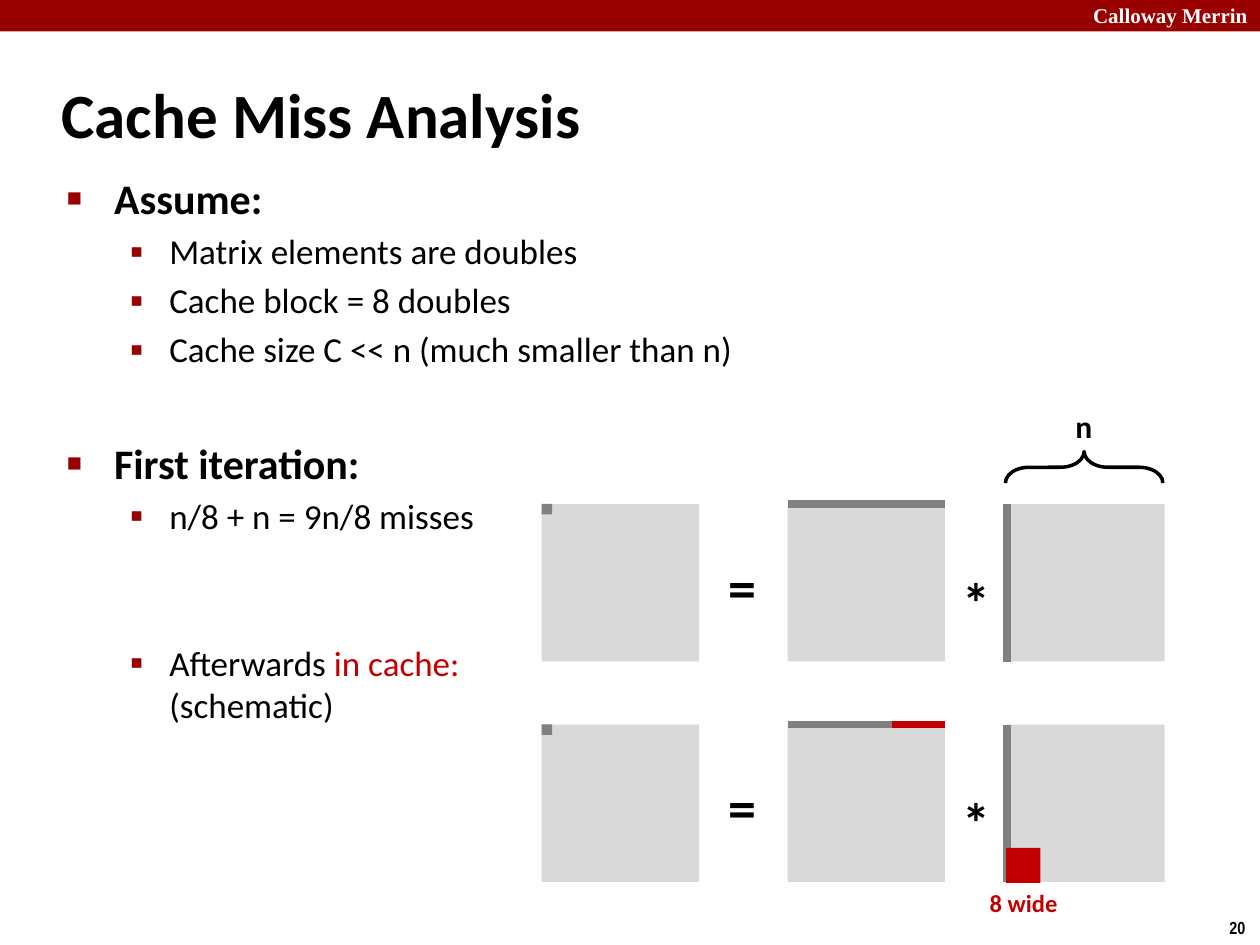
from dataclasses import dataclass

from lxml import etree
from pptx import Presentation
from pptx.dml.color import RGBColor
from pptx.enum.shapes import MSO_CONNECTOR, MSO_SHAPE
from pptx.enum.text import MSO_ANCHOR, MSO_AUTO_SIZE, PP_ALIGN
from pptx.oxml.ns import qn
from pptx.util import Pt

RECTANGLE = MSO_SHAPE.RECTANGLE
LEFT_BRACE = MSO_SHAPE.LEFT_BRACE
STRAIGHT = MSO_CONNECTOR.STRAIGHT
LEFT, RIGHT = PP_ALIGN.LEFT, PP_ALIGN.RIGHT
MIDDLE = MSO_ANCHOR.MIDDLE
NO_AUTOFIT = MSO_AUTO_SIZE.NONE


@dataclass(frozen=True)
class Theme:
    banner: str = "990000"
    text: str = "000000"
    inverse: str = "FFFFFF"
    matrix: str = "D9D9D9"
    accessed: str = "808080"
    cached: str = "C00000"
    font: str = "Calibri"
    banner_font: str = "Times New Roman"
    number_font: str = "Arial Narrow"
    title_size: int = 36
    operator_size: int = 32
    heading_size: int = 24
    item_size: int = 20
    brace_size: int = 18
    note_size: int = 14
    banner_size: int = 12
    number_size: int = 10


THEME = Theme()

# Matrix grid, in points
MATRIX_SIZE = 90
RESULT_X, ROW_MATRIX_X, COLUMN_MATRIX_X = 309.5, 450, 575.5
FIRST_Y, AFTERWARDS_Y = 288, 414

# Body text: level, space before, runs of (text, colour)
BODY = [
    (0, 4.4, [("Assume:", THEME.text)]),
    (1, 4, [("Matrix elements are doubles", THEME.text)]),
    (1, 4, [("Cache block = 8 doubles", THEME.text)]),
    (1, 4, [("Cache size C << n (much smaller than n)", THEME.text)]),
    (0, 38.4, [("First iteration:", THEME.text)]),
    (1, 4, [("n/8 + n = 9n/8 misses", THEME.text)]),
    (1, 60, [("Afterwards ", THEME.text), ("in cache:", THEME.cached),
             ("\n", None), ("(schematic)", THEME.text)]),
]
# Per level: bullet, its size in percent, left margin, hanging indent, size, bold
LEVELS = [
    ("■", 60, 27, 27, THEME.heading_size, True),
    ("▪", 110, 58.5, 22.5, THEME.item_size, False),
]


def place(shape, left, top, width, height):
    shape.left, shape.top = Pt(left), Pt(top)
    shape.width, shape.height = Pt(width), Pt(height)


def add_run(paragraph, text, size, color=THEME.text, bold=True, font=THEME.font):
    run = paragraph.add_run()
    run.text = text
    run.font.name, run.font.size, run.font.bold = font, Pt(size), bold
    run.font.color.rgb = RGBColor.from_string(color)


def add_label(slide, text, box, size, color=THEME.text, font=THEME.font, align=LEFT):
    shape = slide.shapes.add_textbox(*map(Pt, box))
    shape.text_frame.word_wrap = False
    paragraph = shape.text_frame.paragraphs[0]
    paragraph.alignment = align
    add_run(paragraph, text, size, color, font=font)


def add_block(slide, color, left, top, width, height):
    shape = slide.shapes.add_shape(RECTANGLE, Pt(left), Pt(top), Pt(width), Pt(height))
    shape.shadow.inherit = False
    shape.fill.solid()
    shape.fill.fore_color.rgb = RGBColor.from_string(color)
    shape.line.fill.background()


def add_bar(slide, color, start, end):
    line = slide.shapes.add_connector(STRAIGHT, *map(Pt, start + end))
    line.line.color.rgb = RGBColor.from_string(color)
    line.line.width = Pt(4.5)
    etree.SubElement(line._element.spPr, qn("a:effectLst"))


def add_brace(slide, left, top, width, height):
    """Brace that opens downward over the given area."""
    offset = (width - height) / 2
    shape = slide.shapes.add_shape(LEFT_BRACE, Pt(left + offset), Pt(top - offset),
                                   Pt(height), Pt(width))
    shape.rotation = 90
    shape.adjustments[0] = 0.75
    shape.shadow.inherit = False
    shape.fill.background()
    shape.line.color.rgb = RGBColor.from_string(THEME.text)
    shape.line.width = Pt(2)


def set_bullet(paragraph, character, percent, margin, hanging):
    properties = paragraph._p.get_or_add_pPr()
    properties.set("marL", str(Pt(margin)))
    properties.set("indent", str(-Pt(hanging)))
    color = etree.SubElement(properties, qn("a:buClr"))
    etree.SubElement(color, qn("a:srgbClr"), val=THEME.banner)
    etree.SubElement(properties, qn("a:buSzPct"), val=str(percent * 1000))
    etree.SubElement(properties, qn("a:buChar"), char=character)


def fill_title(slide, text):
    title = slide.shapes.title
    place(title, 28, 34.5, 598, 60)
    frame = title.text_frame
    frame.auto_size = NO_AUTOFIT
    frame.vertical_anchor = MIDDLE
    frame.paragraphs[0].alignment = LEFT
    add_run(frame.paragraphs[0], text, THEME.title_size)


def fill_body(slide):
    body = slide.placeholders[1]
    place(body, 31, 95, 622, 330)
    frame = body.text_frame
    frame.auto_size = NO_AUTOFIT
    for index, (level, space, runs) in enumerate(BODY):
        paragraph = frame.add_paragraph() if index else frame.paragraphs[0]
        character, percent, margin, hanging, size, bold = LEVELS[level]
        paragraph.level = level
        paragraph.space_before = Pt(space)
        set_bullet(paragraph, character, percent, margin, hanging)
        for text, color in runs:
            if text == "\n":
                paragraph.add_line_break()
            else:
                add_run(paragraph, text, size, color, bold)


def add_product(slide, top):
    """One result matrix = row matrix * column matrix, with accessed parts."""
    for left in (RESULT_X, ROW_MATRIX_X, COLUMN_MATRIX_X):
        add_block(slide, THEME.matrix, left, top, MATRIX_SIZE, MATRIX_SIZE)
    add_block(slide, THEME.accessed, RESULT_X, top, 6, 6)
    add_bar(slide, THEME.accessed, (ROW_MATRIX_X, top), (ROW_MATRIX_X + MATRIX_SIZE, top))
    add_bar(slide, THEME.accessed, (COLUMN_MATRIX_X, top), (COLUMN_MATRIX_X, top + MATRIX_SIZE))
    add_label(slide, "=", (409, top + 24, 31, 46), THEME.operator_size)
    add_label(slide, "*", (543, top + 32.5, 31, 46), THEME.operator_size)


def main():
    presentation = Presentation()
    presentation.slide_width, presentation.slide_height = Pt(720), Pt(540)
    slide = presentation.slides.add_slide(presentation.slide_layouts[1])

    # Banner and slide number
    add_block(slide, THEME.banner, 0, 0, 720, 18)
    add_label(slide, "Calloway Merrin", (580, -2, 140, 22), THEME.banner_size,
              THEME.inverse, THEME.banner_font, RIGHT)
    add_label(slide, "20", (695.5, 520.5, 24.5, 19.5), THEME.number_size,
              font=THEME.number_font)

    # Title and list
    fill_title(slide, "Cache Miss Analysis")
    fill_body(slide)

    # First iteration, with the matrix width
    add_product(slide, FIRST_Y)
    add_brace(slide, COLUMN_MATRIX_X - 1, 258, MATRIX_SIZE, 18)
    add_label(slide, "n", (607.5, 229, 24.5, 29), THEME.brace_size)

    # Afterwards, with the parts left in cache
    add_product(slide, AFTERWARDS_Y)
    add_bar(slide, THEME.cached, (510, AFTERWARDS_Y), (ROW_MATRIX_X + MATRIX_SIZE, AFTERWARDS_Y))
    add_block(slide, THEME.cached, 575, 484.5, 19.5, 20)
    add_label(slide, "8 wide", (558.5, 504, 53, 24), THEME.note_size, THEME.cached)

    presentation.save("out.pptx")


if __name__ == "__main__":
    main()
